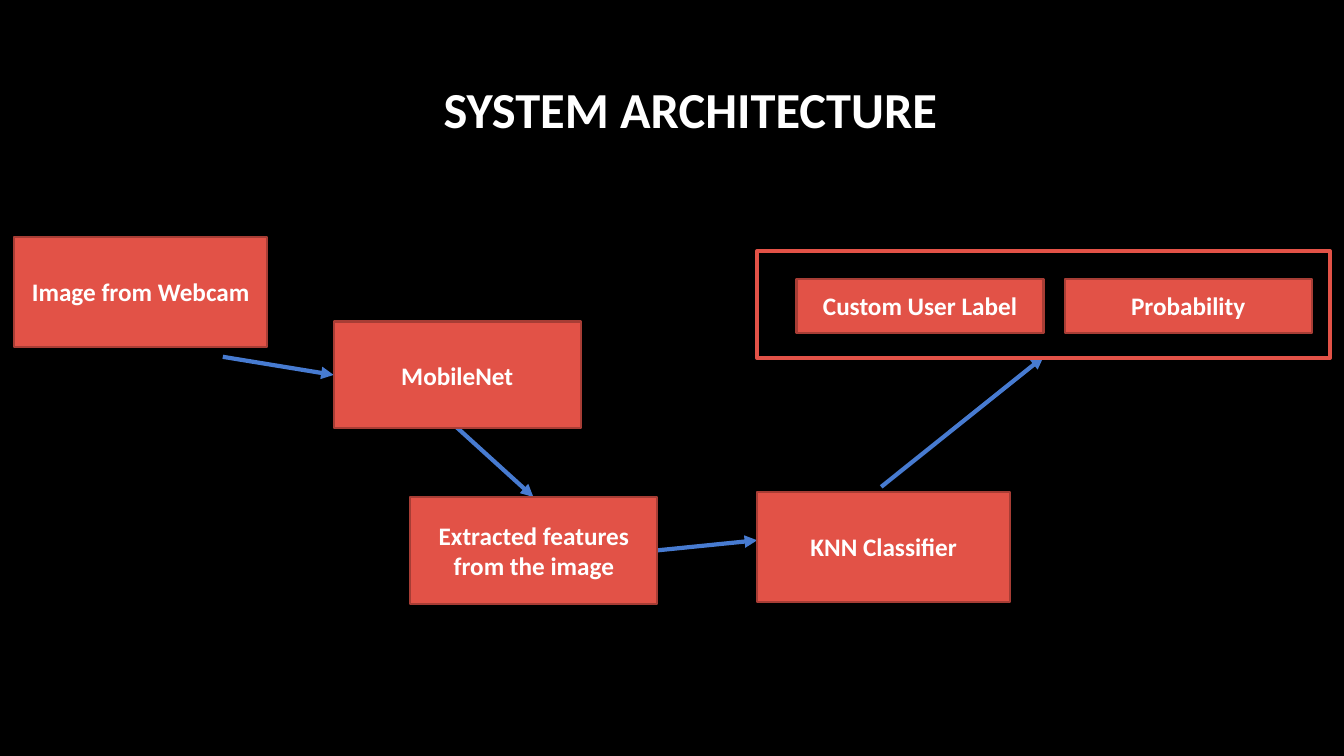
from lxml import etree
from pptx import Presentation
from pptx.dml.color import RGBColor
from pptx.enum import shapes, text
from pptx.oxml.ns import qn
from pptx.util import Inches, Pt

BLACK = RGBColor(0x00, 0x00, 0x00)
WHITE = RGBColor(0xFF, 0xFF, 0xFF)
RED = RGBColor(0xE2, 0x52, 0x47)
DARK_RED = RGBColor(0xA7, 0x3D, 0x35)
BLUE = RGBColor(0x47, 0x7B, 0xD1)


def add_box(page, left, top, width, height, outline, weight):
    box = page.shapes.add_shape(
        shapes.MSO_SHAPE.RECTANGLE,
        Inches(left), Inches(top), Inches(width), Inches(height))
    box.shadow.inherit = False
    box.line.color.rgb = outline
    box.line.width = Pt(weight)
    return box


def write(frame, wording, size, alignment, anchor):
    frame.text = wording
    frame.word_wrap = True
    frame.auto_size = text.MSO_AUTO_SIZE.NONE
    frame.vertical_anchor = anchor
    para = frame.paragraphs[0]
    para.alignment = alignment
    para.font.name = "Calibri"
    para.font.size = Pt(size)
    para.font.bold = True
    para.font.color.rgb = WHITE


deck = Presentation()
deck.slide_width = Inches(13.33)
deck.slide_height = Inches(7.5)
page = deck.slides.add_slide(deck.slide_layouts[5])
page.background.fill.solid()
page.background.fill.fore_color.rgb = BLACK

title = page.shapes.title
title.left, title.top = Inches(4.3), Inches(0.72)
title.width, title.height = Inches(5.25), Inches(0.71)
write(title.text_frame, "SYSTEM ARCHITECTURE", 36,
      text.PP_ALIGN.LEFT, text.MSO_ANCHOR.TOP)

arrows = [
    (2.21, 3.54, 3.31, 3.72),
    (4.53, 4.24, 5.29, 4.93),
    (6.52, 5.46, 7.51, 5.36),
    (8.74, 4.83, 10.35, 3.54),
]
for ends in arrows:
    arrow = page.shapes.add_connector(
        shapes.MSO_CONNECTOR.STRAIGHT, *[Inches(end) for end in ends])
    arrow.line.color.rgb = BLUE
    arrow.line.width = Pt(3)
    etree.SubElement(arrow.line._get_or_add_ln(), qn("a:tailEnd"), type="triangle")
    etree.SubElement(arrow._element.spPr, qn("a:effectLst"))

output_frame = add_box(page, 7.51, 2.49, 5.68, 1.06, RED, 3)
output_frame.fill.background()

stages = [
    ("Image from Webcam", 0.14, 2.35, 2.51, 1.09),
    ("MobileNet", 3.31, 3.19, 2.45, 1.06),
    ("Extracted features from the image", 4.07, 4.93, 2.45, 1.06),
    ("KNN Classifier", 7.51, 4.88, 2.51, 1.09),
    ("Custom User Label", 7.9, 2.77, 2.45, 0.53),
    ("Probability", 10.56, 2.77, 2.45, 0.53),
]
for wording, left, top, width, height in stages:
    box = add_box(page, left, top, width, height, DARK_RED, 1.5)
    box.fill.solid()
    box.fill.fore_color.rgb = RED
    write(box.text_frame, wording, 18,
          text.PP_ALIGN.CENTER, text.MSO_ANCHOR.MIDDLE)

deck.save("out.pptx")
